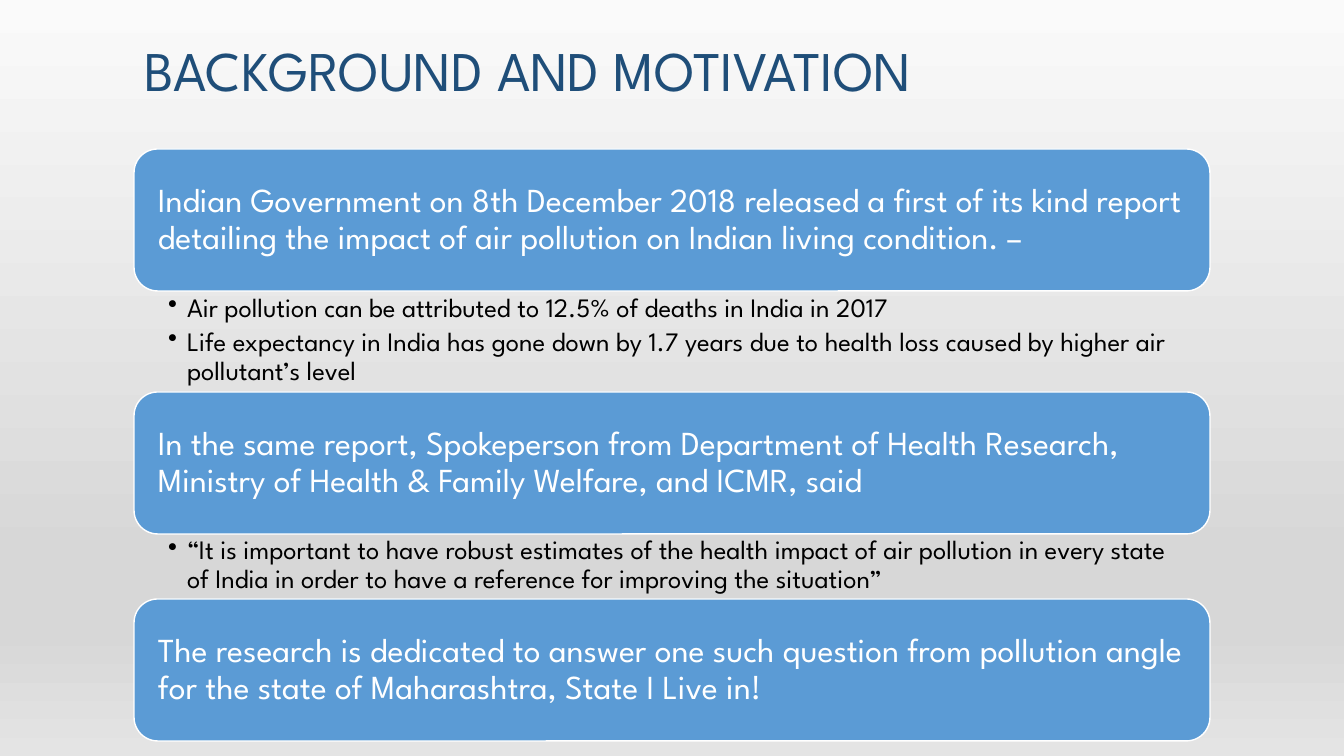
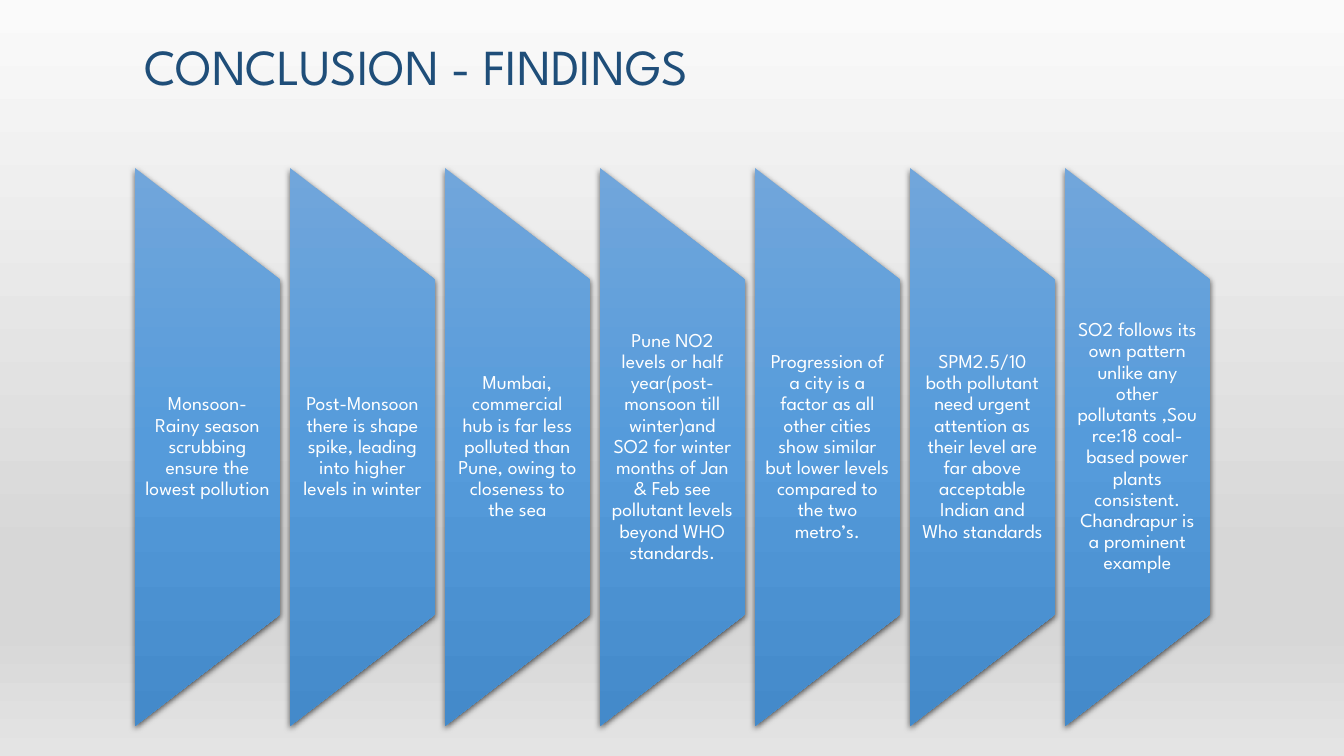
"""Build two slides on air pollution in India: motivation and findings."""
from lxml import etree
from pptx import Presentation
from pptx.dml.color import RGBColor
from pptx.enum import shapes, text
from pptx.oxml import ns
from pptx.util import Pt

PX = 914400 / 100.8
SLIDE_W, SLIDE_H = 1344, 756
LEFT, CONTENT_W = 134, 1076
FONT = "League Spartan"

NAVY = RGBColor(0x1F, 0x4E, 0x79)
BLUE = RGBColor(0x5B, 0x9B, 0xD5)
WHITE = RGBColor(0xFF, 0xFF, 0xFF)
BLACK = RGBColor(0x00, 0x00, 0x00)
BACKDROP = [
    (0, RGBColor(0xFA, 0xFA, 0xFA)),
    (74, RGBColor(0xD7, 0xD7, 0xD7)),
    (83, RGBColor(0xD7, 0xD7, 0xD7)),
    (100, RGBColor(0xE4, 0xE4, 0xE4)),
]
SHEEN = [
    (0, RGBColor(0x71, 0xA6, 0xDB)),
    (50, RGBColor(0x55, 0x9B, 0xDB)),
    (100, RGBColor(0x44, 0x8A, 0xCA)),
]

CARD_H = 142
MOTIVATION = [
    ("Indian Government on 8th December 2018 released a first of its kind report "
     "detailing the impact of air pollution on Indian living condition. –",
     101,
     ["Air pollution can be attributed to 12.5% of deaths in India in 2017",
      "Life expectancy in India has gone down by 1.7 years due to health loss "
      "caused by higher air pollutant’s level"]),
    ("In the same report, Spokeperson from Department of Health Research, "
     "Ministry of Health & Family Welfare, and ICMR, said",
     65,
     ["“It is important to have robust estimates of the health impact of air "
      "pollution in every state of India in order to have a reference for "
      "improving the situation”"]),
    ("The research is dedicated to answer one such question from pollution angle "
     "for the state of Maharashtra, State I Live in!", 0, []),
]

PANEL_W, PANEL_H, PANEL_TOP, PANEL_PITCH = 145, 558, 168, 155
FINDINGS = [
    "Monsoon- Rainy season scrubbing ensure the lowest pollution",
    "Post-Monsoon there is shape spike, leading into higher levels in winter",
    "Mumbai, commercial hub is far less polluted than Pune, owing to closeness "
    "to the sea",
    "Pune NO2 levels or half year(post-monsoon till winter)and SO2 for winter "
    "months of Jan & Feb see pollutant levels beyond WHO standards.",
    "Progression of a city is a factor as all other cities show similar but "
    "lower levels compared to the two metro’s.",
    "SPM2.5/10 both pollutant need urgent attention as their level are far above "
    "acceptable Indian and Who standards",
    "SO2 follows its own pattern unlike any other pollutants ,Source:18 "
    "coal-based power plants consistent. Chandrapur is a prominent example",
]


def px(*lengths):
    """Turn pixel lengths into EMU."""
    return [round(length * PX) for length in lengths]


def add_xml(parent, tag, **attributes):
    """Append a DrawingML element and return it."""
    return etree.SubElement(parent, ns.qn(tag), attributes)


def set_gradient(fill, owner, stops):
    """Fill from top to bottom of the slide through the given stops."""
    fill.gradient()
    fill.gradient_angle = 270
    gradient = next(owner.iter(ns.qn("a:gradFill")))
    gradient.set("rotWithShape", "0")
    stop_list = gradient.find(ns.qn("a:gsLst"))
    for stop in list(stop_list):
        stop_list.remove(stop)
    for position, color in stops:
        stop = add_xml(stop_list, "a:gs", pos=str(position * 1000))
        add_xml(stop, "a:srgbClr", val=str(color))


def set_shadow(shape):
    """Give a shape a soft shadow just below it."""
    shape.shadow.inherit = False
    effects = shape.element.spPr.find(ns.qn("a:effectLst"))
    shadow = add_xml(effects, "a:outerShdw", blurRad=str(Pt(4.5)), dist=str(Pt(1.5)),
                     dir="5400000", algn="ctr", rotWithShape="0")
    color = add_xml(shadow, "a:srgbClr", val=str(BLACK))
    add_xml(color, "a:alpha", val="63000")


def set_text(frame, lines, size, color, insets, anchor=text.MSO_ANCHOR.MIDDLE,
             align=text.PP_ALIGN.LEFT, space=0):
    """Write one paragraph per line with a common format."""
    frame.word_wrap = True
    frame.vertical_anchor = anchor
    (frame.margin_left, frame.margin_top,
     frame.margin_right, frame.margin_bottom) = px(*insets)
    frame.text = "\n".join(lines)
    for paragraph in frame.paragraphs:
        paragraph.alignment = align
        paragraph.line_spacing = 0.9
        paragraph.space_after = Pt(space)
        for run in paragraph.runs:
            run.font.name = FONT
            run.font.size = Pt(size)
            run.font.color.rgb = color


def add_bullets(frame, indent):
    """Put a hanging bullet before every paragraph."""
    (hang,) = px(indent)
    for paragraph in frame.paragraphs:
        properties = paragraph._p.get_or_add_pPr()
        properties.set("marL", str(hang))
        properties.set("indent", str(-hang))
        add_xml(properties, "a:buChar", char="•")


def add_titled_slide(deck, title, size, height):
    """Add a slide with the shared backdrop and title."""
    slide = deck.slides.add_slide(deck.slide_layouts[6])
    set_gradient(slide.background.fill, slide.element, BACKDROP)
    heading = slide.shapes.add_textbox(*px(LEFT, 30, CONTENT_W, height))
    set_text(heading.text_frame, [title], size, NAVY, (10, 5, 10, 5),
             anchor=text.MSO_ANCHOR.BOTTOM)
    return slide


def add_card(slide, top, statement):
    """Add a rounded card with a statement."""
    card = slide.shapes.add_shape(shapes.MSO_SHAPE.ROUNDED_RECTANGLE,
                                  *px(LEFT, top, CONTENT_W, CARD_H))
    card.shadow.inherit = False
    card.fill.solid()
    card.fill.fore_color.rgb = BLUE
    card.line.color.rgb = WHITE
    card.line.width = Pt(1)
    set_text(card.text_frame, [statement], 24, WHITE, (17, 17, 17, 17))


def add_details(slide, top, height, details):
    """Add the bulleted details below a card."""
    box = slide.shapes.add_textbox(*px(LEFT, top, CONTENT_W, height))
    set_text(box.text_frame, details, 19, BLACK, (34, 3, 19, 3),
             anchor=text.MSO_ANCHOR.TOP, space=4)
    add_bullets(box.text_frame, 19)


def add_panel(slide, left, finding):
    """Add a tapered panel on its side with a finding over it."""
    turned_left = left + (PANEL_W - PANEL_H) / 2
    turned_top = PANEL_TOP + (PANEL_H - PANEL_W) / 2
    panel = slide.shapes.add_shape(shapes.MSO_SHAPE.FLOWCHART_MANUAL_OPERATION,
                                   *px(turned_left, turned_top, PANEL_H, PANEL_W))
    panel.rotation = 270
    set_gradient(panel.fill, panel.element, SHEEN)
    panel.line.fill.background()
    set_shadow(panel)
    taper = PANEL_H // 5
    label = slide.shapes.add_textbox(
        *px(left, PANEL_TOP + taper, PANEL_W, PANEL_H - 2 * taper))
    set_text(label.text_frame, [finding], 14, WHITE, (10, 0, 10, 0),
             align=text.PP_ALIGN.CENTER)


def build_motivation(deck):
    """Stack the cards and their details."""
    slide = add_titled_slide(deck, "BACKGROUND AND MOTIVATION", 40, 79)
    top = 149
    for statement, details_height, details in MOTIVATION:
        add_card(slide, top, statement)
        top += CARD_H
        if details:
            add_details(slide, top, details_height, details)
        top += details_height


def build_findings(deck):
    """Set the findings side by side."""
    slide = add_titled_slide(deck, "CONCLUSION - FINDINGS", 36, 71)
    for index, finding in enumerate(FINDINGS):
        add_panel(slide, LEFT + 1 + index * PANEL_PITCH, finding)


def main():
    """Build and save the deck."""
    deck = Presentation()
    deck.slide_width, deck.slide_height = px(SLIDE_W, SLIDE_H)
    build_motivation(deck)
    build_findings(deck)
    deck.save("out.pptx")


if __name__ == "__main__":
    main()
